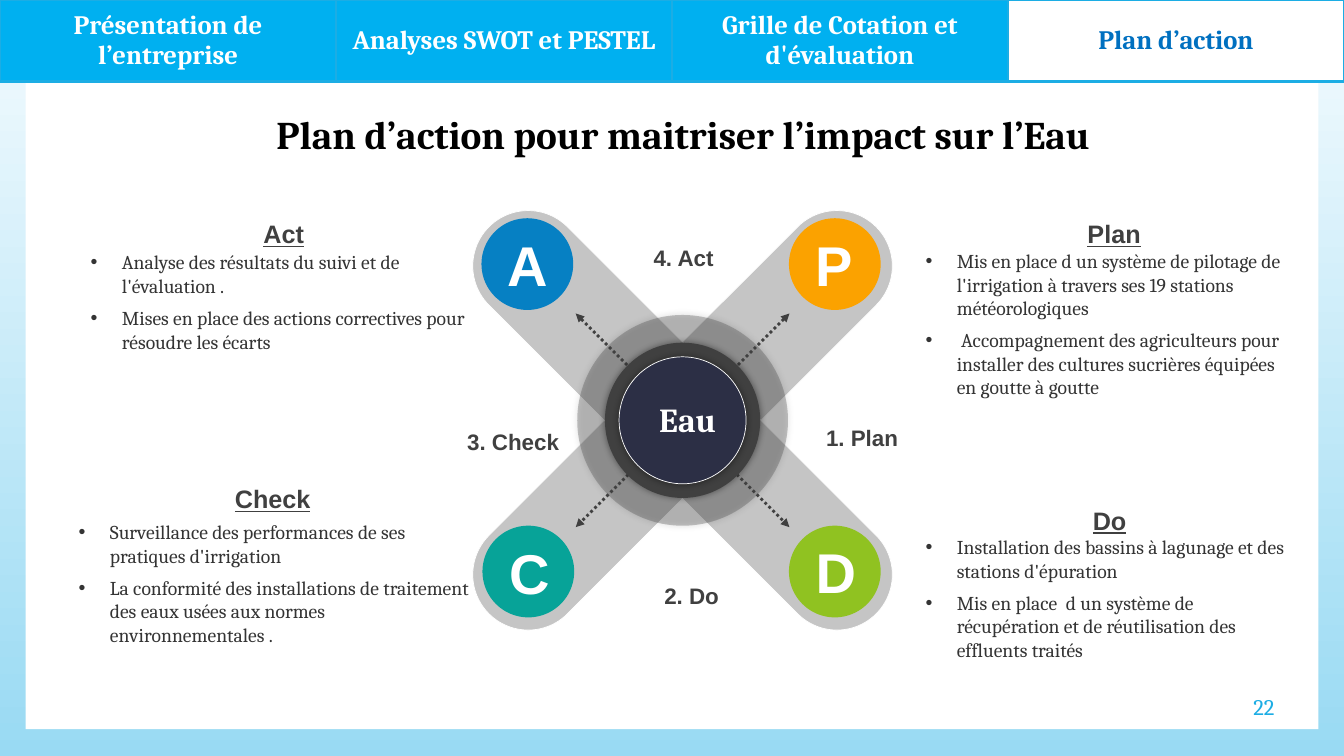
from lxml.etree import SubElement
from pptx import Presentation
from pptx.dml.color import RGBColor
from pptx.enum.dml import MSO_LINE
from pptx.enum.shapes import MSO_CONNECTOR, MSO_SHAPE
from pptx.enum.text import MSO_ANCHOR, MSO_AUTO_SIZE, PP_ALIGN
from pptx.oxml.ns import qn
from pptx.util import Inches, Pt

W, H = 13.33, 7.5
CX, CY = 6.77, 4.17  # centre of the wheel
GREY, WHITE, CYAN = "404040", "FFFFFF", "1CADE4"
CENTER, LEFT, RIGHT = PP_ALIGN.CENTER, PP_ALIGN.LEFT, PP_ALIGN.RIGHT


def rgb(color, value):
    color.rgb = RGBColor.from_string(value)


def add_round(kind, cx, cy, w, h, fill, angle=0, alpha=100, line=False, shadow=False):
    sp = s.shapes.add_shape(kind, Inches(cx - w / 2), Inches(cy - h / 2), Inches(w), Inches(h))
    sp.rotation = angle
    sp.shadow.inherit = False
    sp.fill.solid()
    rgb(sp.fill.fore_color, fill)
    sp_pr = sp._element.spPr
    if alpha < 100:
        SubElement(sp_pr.find(qn("a:solidFill"))[0], qn("a:alpha"), val=str(alpha * 1000))
    if line:
        sp.line.width = Pt(0.5)
        rgb(sp.line.color, WHITE)
    else:
        sp.line.fill.background()
    if shadow:
        glow = SubElement(sp_pr.find(qn("a:effectLst")), qn("a:outerShdw"),
                          blurRad=str(Pt(5)), dist="0", dir="0", algn="ctr", rotWithShape="0")
        black = SubElement(glow, qn("a:srgbClr"), val="000000")
        SubElement(black, qn("a:alpha"), val="40000")
    return sp


prs = Presentation()
prs.slide_width, prs.slide_height = Inches(W), Inches(H)
s = prs.slides.add_slide(prs.slide_layouts.get_by_name("Comparison"))
for ph in list(s.placeholders):
    if ph.placeholder_format.idx >= 10:
        ph._element.getparent().remove(ph._element)

# Background gradient and white panel behind everything
bg = s.background.fill
bg.gradient()
bg.gradient_angle = 270
for stop, value in zip(bg.gradient_stops, ("F4FBFE", "99DAF3")):
    rgb(stop.color, value)
panel = add_round(MSO_SHAPE.RECTANGLE, W / 2, 3.75, 12.82, 6.97, WHITE)
s.shapes._spTree.insert(2, panel._element)

# Title
title = s.shapes.title
title.left, title.top, title.width, title.height = map(Inches, (0.68, 1.04, 12.19, 0.57))
tf = title.text_frame
tf.auto_size = MSO_AUTO_SIZE.NONE
tf.vertical_anchor = MSO_ANCHOR.MIDDLE
p = tf.paragraphs[0]
p.alignment = CENTER
r = p.add_run()
r.text = "Plan d’action pour maitriser l’impact sur l’Eau"
r.font.size, r.font.name, r.font.bold = Pt(28), "Cambria", True
rgb(r.font.color, "000000")

# Bulleted lists, one per step: placeholder, box, line spacing, items
lists = [
    (1, (0.8, 2.43, 3.97, 1.12), 1.01, [
        "Analyse des résultats du suivi et de l'évaluation .",
        "Mises en place des actions correctives pour résoudre les écarts"]),
    (2, (0.68, 5.11, 4.19, 1.37), 1, [
        "Surveillance des performances de ses pratiques d'irrigation",
        "La conformité des installations de traitement des eaux usées aux normes "
        "environnementales ."]),
    (3, (9.08, 2.42, 3.9, 1.6), 1, [
        "Mis en place d un système de pilotage de l'irrigation à travers ses 19 stations "
        "météorologiques",
        " Accompagnement des agriculteurs pour installer des cultures sucrières équipées "
        "en goutte à goutte"]),
    (4, (9.08, 5.26, 3.9, 1.13), 1, [
        "Installation des bassins à lagunage et des stations d'épuration",
        "Mis en place  d un système de récupération et de réutilisation des effluents "
        "traités"]),
]
for idx, box, spacing, items in lists:
    body = s.placeholders[idx]
    body.left, body.top, body.width, body.height = map(Inches, box)
    tf = body.text_frame
    tf.auto_size = MSO_AUTO_SIZE.NONE
    tf.vertical_anchor = MSO_ANCHOR.TOP
    for i, item in enumerate(items):
        p = tf.add_paragraph() if i else tf.paragraphs[0]
        p.line_spacing, p.space_before = spacing, Pt(6)
        p_pr = p._p.get_or_add_pPr()
        p_pr.set("marL", str(Inches(0.31)))
        p_pr.set("indent", str(-Inches(0.31)))
        SubElement(p_pr, qn("a:buFont"), typeface="Arial")
        SubElement(p_pr, qn("a:buChar"), char="•")
        r = p.add_run()
        r.text = item
        r.font.size, r.font.name, r.font.bold = Pt(14), "Cambria", False
        rgb(r.font.color, "343434")

# Wheel: two crossed arms and a ring
for angle in (45, 315):
    arm = add_round(MSO_SHAPE.ROUNDED_RECTANGLE, CX, CY, 1.1, 5.43, GREY, angle, 30, line=True)
    arm.adjustments[0] = 0.5
add_round(MSO_SHAPE.OVAL, CX, CY, 2.09, 2.09, GREY, alpha=30, shadow=True)

# Dotted double arrows along the arms
for side in (-1, 1):
    reach = 1.06
    arrow = s.shapes.add_connector(
        MSO_CONNECTOR.STRAIGHT, Inches(CX + side * reach), Inches(CY - reach),
        Inches(CX - side * reach), Inches(CY + reach))
    arrow.line.width = Pt(2)
    arrow.line.dash_style = MSO_LINE.ROUND_DOT
    rgb(arrow.line.color, GREY)
    for end in ("a:headEnd", "a:tailEnd"):
        SubElement(arrow.line._ln, qn(end), type="triangle")
    SubElement(arrow._element.spPr, qn("a:effectLst"))

# Hub and lettered discs
add_round(MSO_SHAPE.OVAL, CX, CY, 1.54, 1.54, GREY, shadow=True)
add_round(MSO_SHAPE.OVAL, CX, CY, 1.26, 1.26, "2C2F45", line=True, shadow=True)
for cx, cy, value in [(5.23, 2.62, "0680C3"), (8.28, 2.62, "FBA200"),
                      (5.24, 5.67, "07A398"), (8.28, 5.67, "90C221")]:
    add_round(MSO_SHAPE.OVAL, cx, cy, 0.91, 0.91, value)

# Text boxes by style: size, font, colour, bold, underline, alignment
styles = [
    ((16, "Arial", GREY, True, False, CENTER), [
        ("4. Act", 5.25, 2.37, 3.06, 2.75), ("1. Plan", 7.02, 4.16, 3.06, 2.75),
        ("3. Check", 3.56, 4.2, 3.06, 2.75), ("2. Do", 5.33, 5.73, 3.06, 1.16)]),
    ((18, "Arial", GREY, True, True, CENTER), [
        ("Act", 0.8, 2.12, 4.03, 0.4), ("Check", 0.84, 4.75, 3.73, 0.4),
        ("Plan", 9.07, 2.12, 3.96, 0.4), ("Do", 9.07, 4.96, 3.87, 0.4)]),
    ((40, "Arial", WHITE, True, False, CENTER), [
        ("A", 4.78, 2.24, 0.9, 0.77), ("P", 7.82, 2.24, 0.9, 0.77),
        ("C", 4.8, 5.29, 0.9, 0.77), ("D", 7.84, 5.28, 0.9, 0.77)]),
    ((24, "Cambria", WHITE, True, False, LEFT), [("Eau", 6.44, 3.91, 0.83, 0.5)]),
    ((16, "Cambria", CYAN, False, False, RIGHT), [("22", 12.06, 6.83, 0.68, 0.4)]),
]
for (size, font, value, bold, underline, align), labels in styles:
    for text, *box in labels:
        tf = s.shapes.add_textbox(*map(Inches, box)).text_frame
        tf.word_wrap = True
        p = tf.paragraphs[0]
        p.alignment = align
        r = p.add_run()
        r.text = text
        r.font.size, r.font.name, r.font.bold = Pt(size), font, bold
        r.font.underline = underline
        rgb(r.font.color, value)

# Navigation bar with the current section in white
tabs = ["Présentation de l’entreprise", "Analyses SWOT et PESTEL",
        "Grille de Cotation et d'évaluation", "Plan d’action"]
nav = s.shapes.add_table(1, len(tabs), 0, 0, Inches(W), Inches(0.81)).table
for i, tab in enumerate(tabs):
    current = tab == tabs[-1]
    cell = nav.cell(0, i)
    cell.vertical_anchor = MSO_ANCHOR.MIDDLE
    tc_pr = cell._tc.get_or_add_tcPr()
    for edge, width in (("L", 1), ("R", 1), ("T", 1), ("B", 2)):
        ln = SubElement(tc_pr, qn("a:ln" + edge), w=str(Pt(width)))
        SubElement(SubElement(ln, qn("a:solidFill")), qn("a:srgbClr"), val=CYAN)
    cell.fill.solid()
    rgb(cell.fill.fore_color, WHITE if current else "00B0F0")
    p = cell.text_frame.paragraphs[0]
    p.alignment = CENTER
    r = p.add_run()
    r.text = tab
    r.font.size, r.font.name, r.font.bold = Pt(19), "Cambria", True
    rgb(r.font.color, "0070C0" if current else WHITE)

prs.save("out.pptx")
